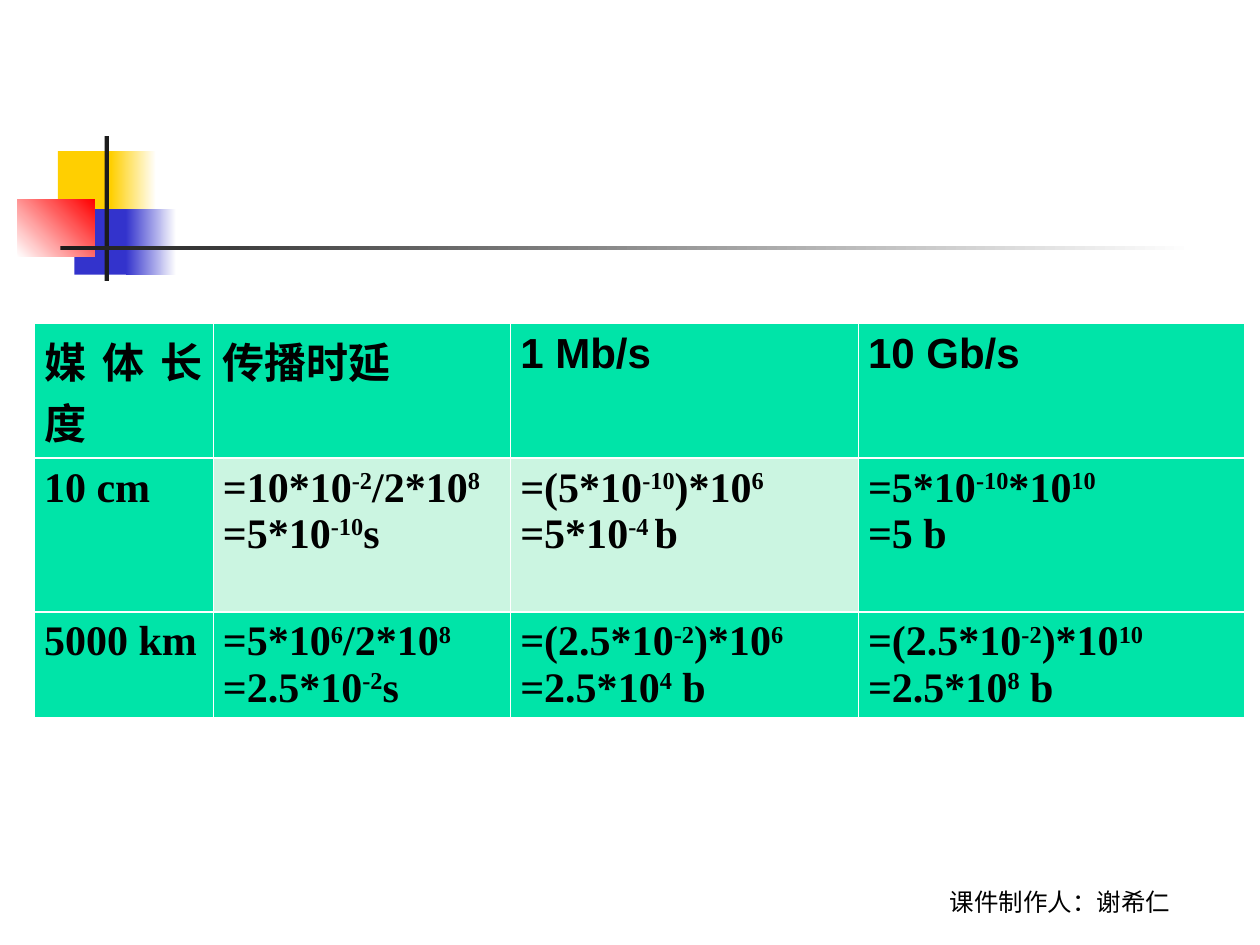
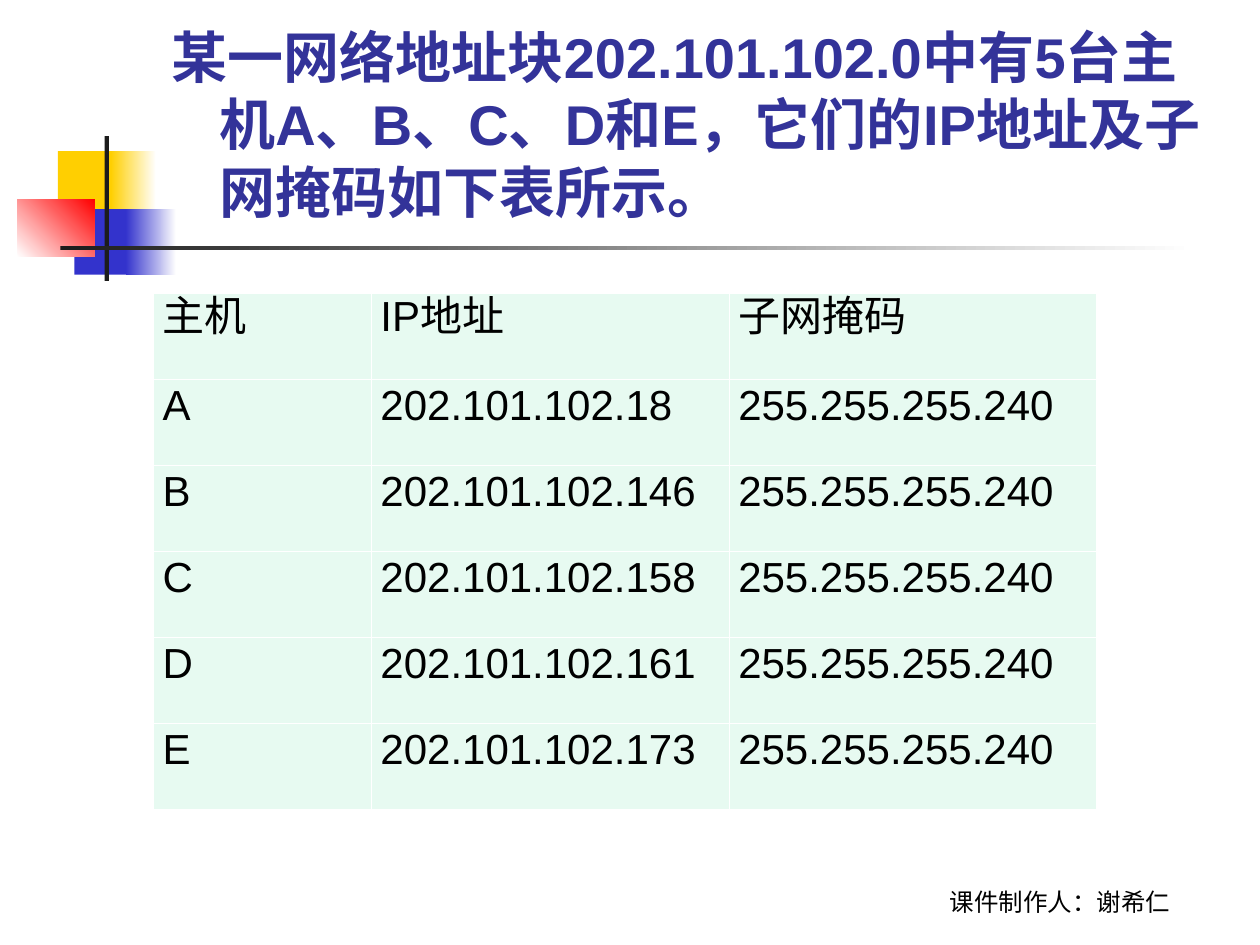
from lxml import etree
from pptx import Presentation, util as u
from pptx.dml.color import RGBColor
from pptx.enum import shapes, text
from pptx.oxml import ns

HUE = {
    "white": "FFFFFF", "black": "000000", "gold": "FFCF01", "blue": "3333CC",
    "red": "FF0000", "ink": "1C1C1C", "navy": "333399",
    "green": "00E4A8", "mint": "CBF5E1", "pale": "E7FAF1",
}

deck = Presentation()
deck.slide_width, deck.slide_height = u.Inches(10), u.Inches(7.5)
COL, ROW = deck.slide_width / 100, deck.slide_height / 100


def place(x, y, w, h):
    return [u.Emu(round(n * cell)) for n, cell in zip((x, y, w, h), (COL, ROW, COL, ROW))]


def write(para, words, size, face, hue="black", bold=False):
    for n, part in enumerate(words.split("^")):
        if part:
            run = para.add_run()
            run.text = part
            run.font.size, run.font.name, run.font.bold = u.Pt(size), face, bold
            run.font.color.rgb = RGBColor.from_string(HUE[hue])
            if n % 2:
                run.font._element.set("baseline", "30000")


delay = deck.slides.add_slide(deck.slide_layouts[6])
hosts = deck.slides.add_slide(deck.slide_layouts[5])

motif = [
    (4.6, 16, 4.8, 6.93, ["gold"], 0),
    (8.8, 16, 3.6, 6.93, ["gold", "white"], 0),
    (5.9, 22.13, 4.6, 6.93, ["blue"], 0),
    (10, 22.13, 4, 6.93, ["blue", "white"], 0),
    (1.4, 21.07, 6.1, 6.13, ["white", "red"], 45),
    (8.3, 14.4, 0.35, 15.33, ["ink"], 0),
    (4.8, 26, 90, 0.5, ["ink", "white"], 0),
]
for n, (x, y, w, h, hues, turn) in enumerate(motif):
    block = delay.shapes.add_shape(shapes.MSO_SHAPE.RECTANGLE, *place(x, y, w, h))
    block.shadow.inherit = False
    block.line.fill.background()
    if len(hues) == 1:
        block.fill.solid()
        block.fill.fore_color.rgb = RGBColor.from_string(HUE[hues[0]])
    else:
        block.fill.gradient()
        block.fill.gradient_angle = turn
        for stop, hue in zip(block.fill.gradient_stops, hues):
            stop.color.rgb = RGBColor.from_string(HUE[hue])
    block.element.nvSpPr.cNvPr.set("id", str(20 + n))
    deck.slide_master.element.cSld.spTree.append(block.element)

title = hosts.shapes.title
title.left, title.top, title.width, title.height = place(12.6, 3.07, 85.2, 21.33)
frame = title.text_frame
frame.word_wrap = True
frame.auto_size = text.MSO_AUTO_SIZE.NONE
frame.vertical_anchor = text.MSO_ANCHOR.BOTTOM
para = frame.paragraphs[0]
para.alignment = text.PP_ALIGN.LEFT
props = para._p.get_or_add_pPr()
props.set("marL", str(u.Inches(0.38)))
props.set("indent", str(u.Inches(-0.38)))
write(para, "某一网络地址块202.101.102.0中有5台主机A、B、C、D和E，它们的IP地址及子网掩码如下表所示。",
      32, "Arial", "navy", True)

times = [
    ["媒体长度", "传播时延", "1 Mb/s", "10 Gb/s"],
    ["10 cm", "=10*10^-2^/2*10^8^\n=5*10^-10^s",
     "=(5*10^-10^)*10^6^\n=5*10^-4 ^b", "=5*10^-10^*10^10^\n=5 b"],
    ["5000 km", "=5*10^6^/2*10^8^\n=2.5*10^-2^s",
     "=(2.5*10^-2^)*10^6^\n=2.5*10^4^ b", "=(2.5*10^-2^)*10^10^\n=2.5*10^8^ b"],
]
nodes = [["主机", "IP地址", "子网掩码"]]
for host, last in zip("ABCDE", (18, 146, 158, 161, 173)):
    nodes.append([host, f"202.101.102.{last}", "255.255.255.240"])

grids = [
    (delay, times, 2.7, 34.27, [14.2, 23.6, 27.6, 30.7], [10.67, 16.27, 10.93],
     "green", True, 0.08, None, 1.47),
    (hosts, nodes, 12.2, 31.07, [17.3, 28.4, 29.1], [9.1] * 6,
     "pale", False, 0.07, u.Pt(25), 0.45),
]
for slide, data, x, y, wides, highs, base, bold, pad, lead, rule in grids:
    table = slide.shapes.add_table(
        len(highs), len(wides), *place(x, y, sum(wides), sum(highs))).table
    table.first_row = table.horz_banding = False
    for col, wide in zip(table.columns, wides):
        col.width = u.Emu(round(wide * COL))
    for r, (row, high) in enumerate(zip(table.rows, highs)):
        row.height = u.Emu(round(high * ROW))
        for c, cell in enumerate(row.cells):
            cell.margin_left = cell.margin_right = u.Inches(pad)
            cell.margin_top = cell.margin_bottom = u.Inches(0.05)
            edges = {"L": 0.45, "R": 0.45, "T": rule if r else 0.45,
                     "B": rule if r < len(highs) - 1 else 0.45}
            for side, width in edges.items():
                line = etree.SubElement(cell._tc.get_or_add_tcPr(), ns.qn(f"a:ln{side}"),
                                        w=str(u.Pt(width)))
                fill = etree.SubElement(line, ns.qn("a:solidFill"))
                etree.SubElement(fill, ns.qn("a:srgbClr"), val=HUE["white"])
            cell.fill.solid()
            tint = "mint" if slide is delay and r == 1 and c in (1, 2) else base
            cell.fill.fore_color.rgb = RGBColor.from_string(HUE[tint])
            face = "Times New Roman" if slide is delay and r else "Arial"
            for n, words in enumerate(data[r][c].split("\n")):
                frame = cell.text_frame
                para = frame.add_paragraph() if n else frame.paragraphs[0]
                para.alignment = text.PP_ALIGN.JUSTIFY
                if lead:
                    para.line_spacing = lead
                write(para, words, 24, face, bold=bold)

for slide in deck.slides:
    frame = slide.shapes.add_textbox(*place(68.3, 90.93, 31.7, 6.67)).text_frame
    frame.word_wrap = True
    frame.vertical_anchor = text.MSO_ANCHOR.BOTTOM
    para = frame.paragraphs[0]
    para.alignment = text.PP_ALIGN.CENTER
    write(para, "课件制作人：谢希仁", 14, "Roboto")

deck.save("out.pptx")
